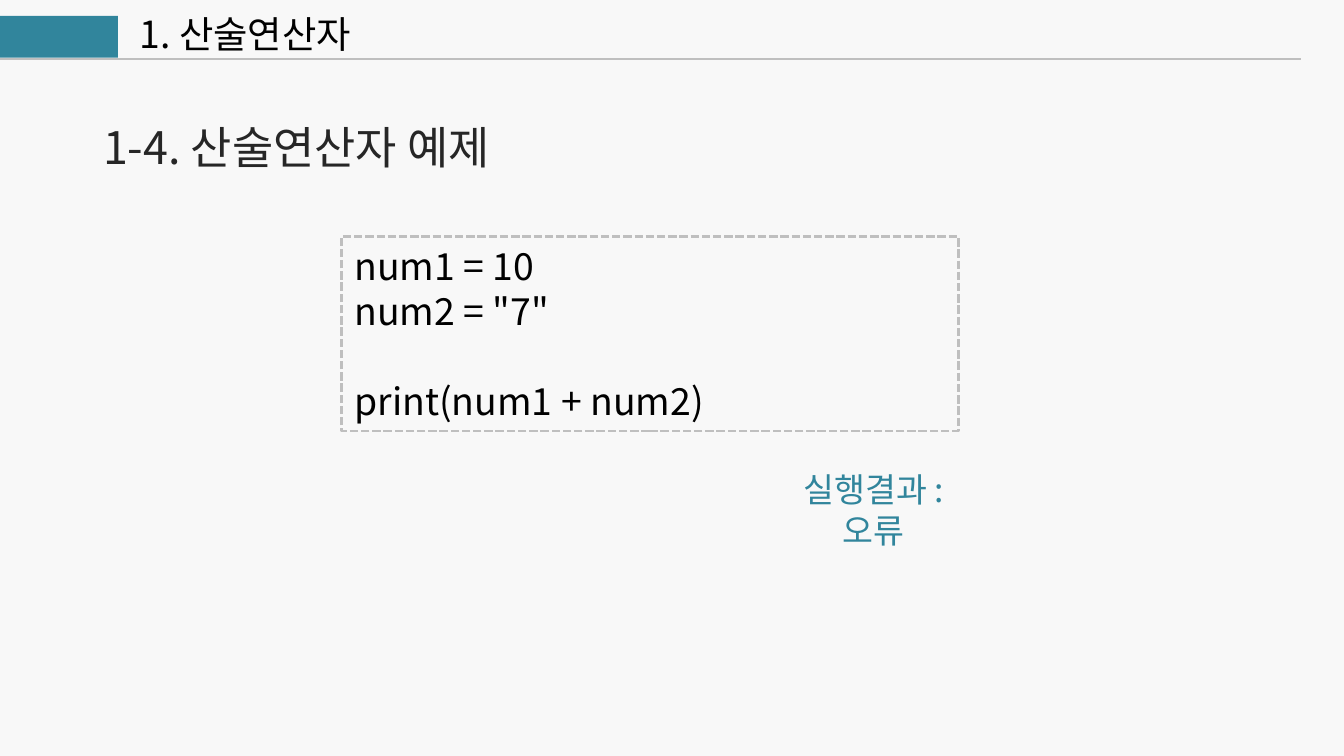
from lxml.etree import SubElement
from pptx import Presentation
from pptx.dml.color import RGBColor
from pptx.enum.dml import MSO_LINE
from pptx.enum.shapes import MSO_CONNECTOR, MSO_SHAPE
from pptx.enum.text import MSO_ANCHOR, PP_ALIGN
from pptx.oxml.ns import qn
from pptx.util import Cm, Pt

FONT = "Noto Sans CJK KR"
COLORS = {
    "background": "F8F8F8",
    "teal": "31859C",
    "gray": "BFBFBF",
    "dark": "262626",
    "black": "000000",
}


def color(name):
    return RGBColor.from_string(COLORS[name])


def set_all(target, values):
    for name, value in values.items():
        setattr(target, name, value)


def place(shape, left, top, width, height):
    set_all(shape, {"left": Cm(left), "top": Cm(top),
                    "width": Cm(width), "height": Cm(height)})


def write_text(shape, lines, size, color_name, align=PP_ALIGN.LEFT,
               anchor=MSO_ANCHOR.TOP, wrap=True):
    frame = shape.text_frame
    set_all(frame, {
        "word_wrap": wrap, "vertical_anchor": anchor,
        "margin_left": Cm(0.25), "margin_right": Cm(0.25),
        "margin_top": Cm(0.13), "margin_bottom": Cm(0.13),
    })
    frame.text = "\n".join(lines)
    for para in frame.paragraphs:
        set_all(para, {"alignment": align, "space_before": Pt(0), "line_spacing": 1.0})
        for span in para.runs:
            set_all(span.font, {"name": FONT, "size": Pt(size)})
            span.font.color.rgb = color(color_name)
            SubElement(span.font._element, qn("a:ea")).set("typeface", FONT)
    return frame


def add_label(page, position, lines, size, color_name, **options):
    box = page.shapes.add_textbox(*map(Cm, position))
    write_text(box, lines, size, color_name, **options)


def add_rectangle(page, position):
    box = page.shapes.add_shape(MSO_SHAPE.RECTANGLE, *map(Cm, position))
    box.shadow.inherit = False
    return box


def add_header_block(page):
    block = add_rectangle(page, (-0.03, 0.3, 2.26, 0.79))
    block.fill.solid()
    block.fill.fore_color.rgb = color("teal")
    block.line.fill.background()


def add_header_rule(page):
    rule = page.shapes.add_connector(
        MSO_CONNECTOR.STRAIGHT, Cm(-0.03), Cm(1.11), Cm(24.59), Cm(1.11))
    rule.line.width = Pt(1)
    rule.line.color.rgb = color("gray")
    SubElement(rule._element.spPr, qn("a:effectLst"))


def add_code_box(page, lines, gap_before):
    box = add_rectangle(page, (6.45, 4.47, 11.66, 3.68))
    box.fill.background()
    set_all(box.line, {"width": Pt(1.5), "dash_style": MSO_LINE.SQUARE_DOT})
    box.line.color.rgb = color("gray")
    frame = write_text(box, lines, 20, "black")
    frame.paragraphs[gap_before].space_before = Pt(24)


def main():
    deck = Presentation()
    set_all(deck, {"slide_width": Cm(25.4), "slide_height": Cm(14.29)})
    page = deck.slides.add_slide(deck.slide_layouts[5])
    page.background.fill.solid()
    page.background.fill.fore_color.rgb = color("background")

    title = page.shapes.title
    place(title, 2.39, 0.08, 5.51, 1.12)
    write_text(title, ["1. 산술연산자"], 20, "black")

    add_header_block(page)
    add_header_rule(page)
    add_label(page, (1.7, 2.13, 8.61, 1.27), ["1-4. 산술연산자 예제"], 24, "dark")
    add_code_box(page, ["num1 = 10", 'num2 = "7"', "print(num1 + num2)"], gap_before=2)
    add_label(page, (14.91, 8.74, 3.2, 1.8), ["실행결과 :", "오류"], 18, "teal",
              align=PP_ALIGN.CENTER, wrap=False)
    deck.save("out.pptx")


if __name__ == "__main__":
    main()
